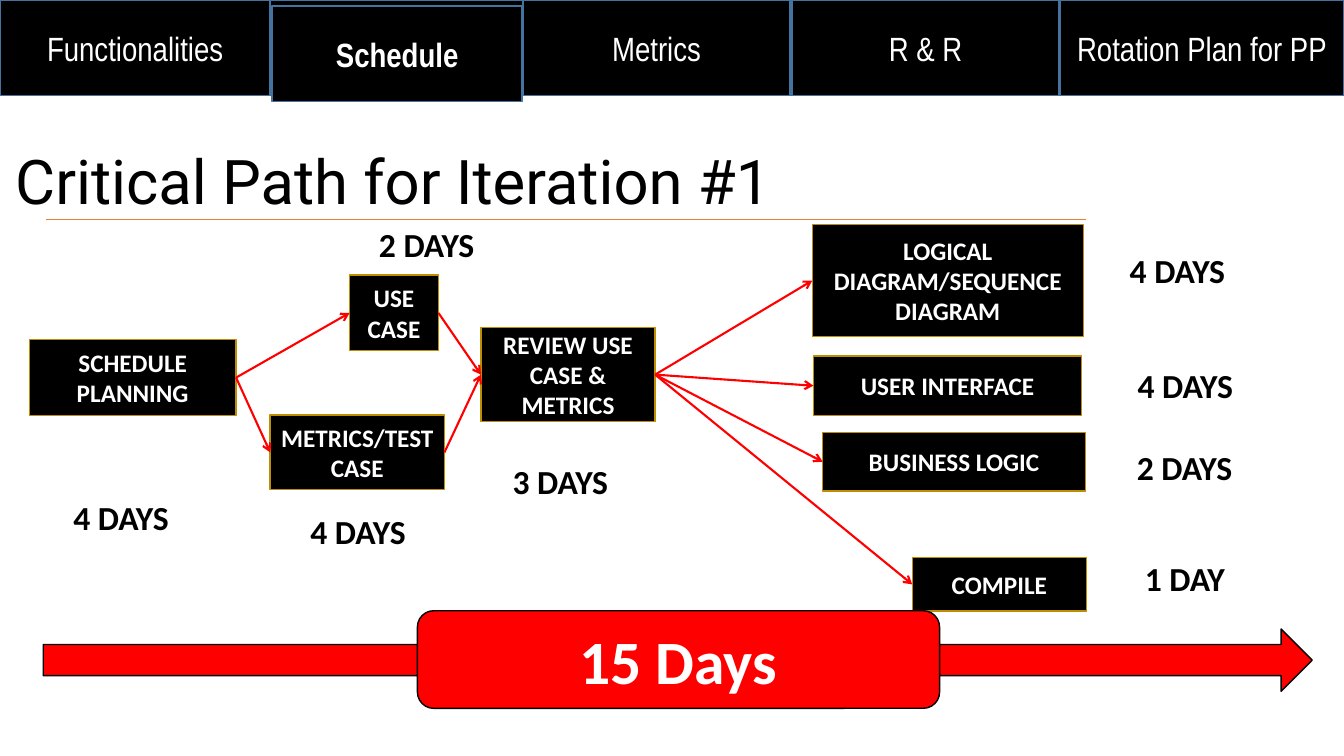
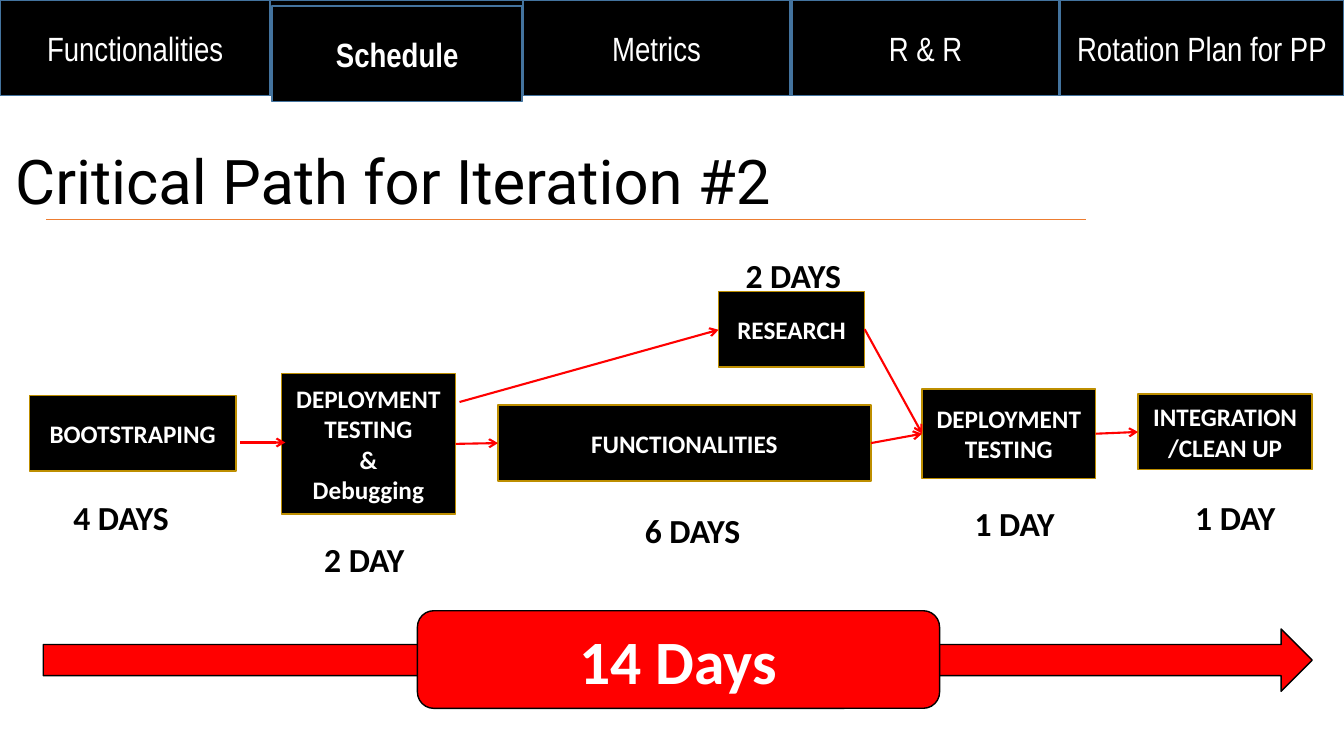
from lxml import etree
from pptx import Presentation
from pptx import util as u
from pptx.dml import color
from pptx.enum import shapes, text
from pptx.oxml import ns

BLACK, WHITE, RED = "000000", "FFFFFF", "FF0000"
GOLD, BLUE, ORANGE = "BD8E00", "43739E", "ED7D31"
RECTANGLE = shapes.MSO_SHAPE.RECTANGLE
LEFT_SITE, RIGHT_SITE = 1, 3
TABS = [
    ("Rotation Plan for PP", 26.72, 7.14),
    ("Functionalities", 0, 6.81),
    ("Metrics", 13.18, 6.73),
    ("R & R", 19.96, 6.73),
    ("Schedule", 6.86, 6.3),
]
ACTIVE_TAB = "Schedule"


def rgb(value):
    return color.RGBColor.from_string(value)


class CriticalPathDeck:
    def __init__(self):
        self.presentation = Presentation()
        self.presentation.slide_width = u.Cm(33.87)
        self.presentation.slide_height = u.Cm(19.05)
        self.slide = None

    def add_slide(self, title):
        layout = self.presentation.slide_layouts[5]
        self.slide = self.presentation.slides.add_slide(layout)
        self.title(title)
        self.line((1.17, 5.54), (27.38, 5.54), ORANGE, 0.5)
        self.shape(RECTANGLE, 0, 0, 33.87, 2.41, BLACK, BLUE)
        for name, left, width in TABS:
            active = name == ACTIVE_TAB
            top = 0.15 if active else 0
            tab = self.shape(RECTANGLE, left, top, width, 2.41, BLACK, BLUE)
            self.set_text(tab, name, 24, "Arial Narrow", bold=active)

    def title(self, content):
        title = self.slide.shapes.title
        title.left, title.top = u.Cm(0.13), u.Cm(2.82)
        title.width, title.height = u.Cm(21.89), u.Cm(3.68)
        title.text_frame.auto_size = text.MSO_AUTO_SIZE.NONE
        self.set_text(title, content, 44, "Roboto", BLACK, False, text.PP_ALIGN.LEFT)
        title.text_frame.paragraphs[0].line_spacing = 0.9

    def set_text(self, shape, content, size, font="Calibri", ink=WHITE, bold=True,
                 align=text.PP_ALIGN.CENTER, anchor=text.MSO_ANCHOR.MIDDLE):
        frame = shape.text_frame
        frame.text = content
        frame.word_wrap = True
        frame.vertical_anchor = anchor
        for paragraph in frame.paragraphs:
            paragraph.alignment = align
            paragraph.font.size = u.Pt(size)
            paragraph.font.name = font
            paragraph.font.bold = bold
            paragraph.font.color.rgb = rgb(ink)

    def shape(self, kind, left, top, width, height, fill, outline):
        shape = self.slide.shapes.add_shape(
            kind, u.Cm(left), u.Cm(top), u.Cm(width), u.Cm(height))
        shape.shadow.inherit = False
        shape.fill.solid()
        shape.fill.fore_color.rgb = rgb(fill)
        shape.line.color.rgb = rgb(outline)
        shape.line.width = u.Pt(1)
        return shape

    def task(self, content, left, top, width, height=1.91):
        task = self.shape(RECTANGLE, left, top, width, height, BLACK, GOLD)
        self.set_text(task, content, 18)
        return task

    def duration(self, content, left, top, width=2.95):
        label = self.slide.shapes.add_textbox(
            u.Cm(left), u.Cm(top), u.Cm(width), u.Cm(1.27))
        self.set_text(label, content, 24, ink=BLACK,
                      align=text.PP_ALIGN.LEFT, anchor=text.MSO_ANCHOR.TOP)

    def line(self, start, end, ink, width):
        points = [u.Cm(value) for value in (*start, *end)]
        line = self.slide.shapes.add_connector(shapes.MSO_CONNECTOR.STRAIGHT, *points)
        line.line.color.rgb = rgb(ink)
        line.line.width = u.Pt(width)
        properties = line._element.spPr
        etree.SubElement(properties, ns.qn("a:effectLst"))
        return line

    def arrow(self, start=(0, 0), end=(0, 0)):
        arrow = self.line(start, end, RED, 1.5)
        outline = arrow._element.spPr.find(ns.qn("a:ln"))
        etree.SubElement(outline, ns.qn("a:tailEnd"), type="arrow")
        return arrow

    def link(self, source, *targets):
        for target in targets:
            arrow = self.arrow()
            arrow.begin_connect(source, RIGHT_SITE)
            arrow.end_connect(target, LEFT_SITE)

    def total(self, content):
        self.shape(shapes.MSO_SHAPE.RIGHT_ARROW, 1.09, 15.85, 31.98, 1.57, RED, BLACK)
        badge = self.shape(shapes.MSO_SHAPE.ROUNDED_RECTANGLE,
                           10.52, 15.39, 13.16, 2.46, RED, BLACK)
        self.set_text(badge, content, 44)


def first_iteration(deck):
    deck.add_slide("Critical Path for Iteration #1")
    planning = deck.task("SCHEDULE PLANNING", 0.74, 8.56, 5.21)
    use_case = deck.task("USE CASE", 8.81, 6.93, 2.24)
    metrics = deck.task("METRICS/TEST CASE", 6.81, 10.46, 4.39, 1.88)
    review = deck.task("REVIEW USE CASE & METRICS", 12.12, 8.26, 4.39, 2.36)
    diagrams = deck.task("LOGICAL DIAGRAM/SEQUENCE DIAGRAM", 20.47, 5.66, 6.83, 2.82)
    interface = deck.task("USER INTERFACE", 20.5, 8.97, 6.76, 1.5)
    logic = deck.task("BUSINESS LOGIC", 20.73, 10.9, 6.63, 1.47)
    build = deck.task("COMPILE", 22.99, 14.05, 4.39, 1.35)
    deck.link(planning, use_case, metrics)
    deck.link(use_case, review)
    deck.link(metrics, review)
    deck.link(review, diagrams, interface, logic, build)
    deck.duration("4 DAYS", 1.6, 12.4, 3.53)
    deck.duration("2 DAYS", 9.3, 5.51)
    deck.duration("4 DAYS", 7.57, 12.75, 3.43)
    deck.duration("3 DAYS", 12.67, 11.48)
    deck.duration("4 DAYS", 28.22, 6.17)
    deck.duration("4 DAYS", 28.42, 9.07)
    deck.duration("2 DAYS", 28.4, 11.13)
    deck.duration("1 DAY", 28.6, 13.94, 2.54)
    deck.total("15 Days")


def second_iteration(deck):
    deck.add_slide("Critical Path for Iteration #2")
    deck.task("BOOTSTRAPING", 0.74, 9.96, 5.21)
    debugging = deck.task("DEPLOYMENT\nTESTING\n&\nDebugging", 7.09, 9.42, 4.39, 3.53)
    research = deck.task("RESEARCH", 18.11, 7.34, 3.68)
    functionalities = deck.task("FUNCTIONALITIES", 12.55, 10.21, 9.4)
    testing = deck.task("DEPLOYMENT\nTESTING", 23.24, 9.8, 4.37, 2.26)
    integration = deck.task("INTEGRATION/CLEAN UP", 28.68, 9.93, 4.39)
    deck.arrow((6.05, 11.15), (7.19, 11.15))
    deck.arrow((11.58, 10.13), (18.11, 8.31))
    deck.link(debugging, functionalities)
    deck.link(research, testing)
    deck.link(functionalities, testing)
    deck.link(testing, integration)
    deck.duration("4 DAYS", 1.6, 12.4, 3.53)
    deck.duration("2 DAY", 7.92, 13.46, 2.72)
    deck.duration("2 DAYS", 18.54, 6.3)
    deck.duration("6 DAYS", 16, 12.73)
    deck.duration("1 DAY", 24.31, 12.55, 2.54)
    deck.duration("1 DAY", 29.87, 12.4, 2.54)
    deck.total("14 Days")


def main():
    deck = CriticalPathDeck()
    first_iteration(deck)
    second_iteration(deck)
    deck.presentation.save("out.pptx")


if __name__ == "__main__":
    main()
